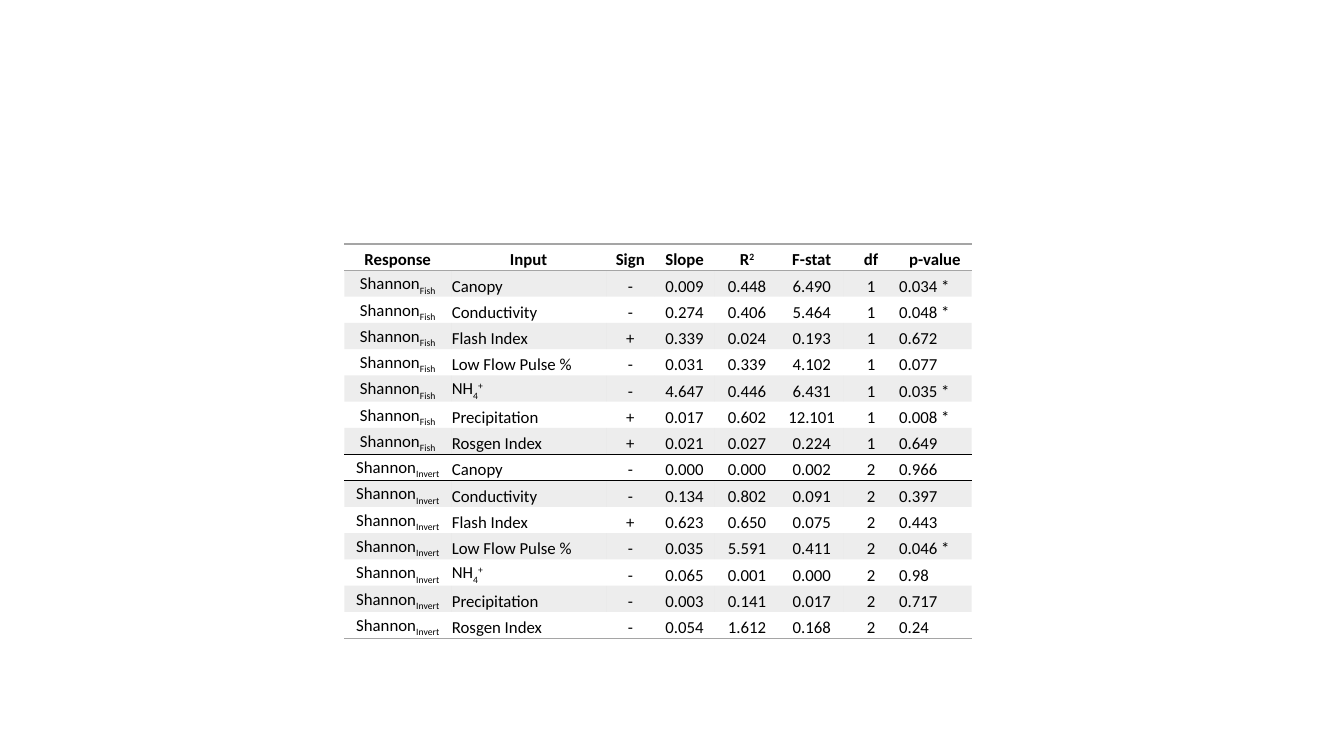
from lxml.etree import SubElement
from pptx import Presentation
from pptx.dml.color import RGBColor
from pptx.enum.text import MSO_ANCHOR as Anchor, PP_ALIGN as Align
from pptx.oxml import parse_xml
from pptx.oxml.ns import nsdecls, qn
from pptx.util import Cm, Pt

BLACK = RGBColor(0x00, 0x00, 0x00)
GREY = RGBColor(0xA5, 0xA5, 0xA5)

NO_STYLE = "{2D5ABB26-0587-4C30-8999-92F81FD0307C}"
BAND_ALPHA = 20000
SUBSCRIPT, SUPERSCRIPT = -25000, 30000
COLUMN_WIDTHS = (2.69, 3.91, 1.22, 1.52, 1.63, 1.63, 1.37, 1.85)
LEFT_COLUMNS = (1, 7)
CELL_FORMAT = {
    "margin_left": Cm(0.02),
    "margin_right": Cm(0.02),
    "margin_top": Cm(0.02),
    "margin_bottom": Cm(0),
    "vertical_anchor": Anchor.BOTTOM,
}
FONT_FORMAT = {"name": "Calibri", "size": Pt(12)}

R_SQUARED = (("R", 0), ("2", SUPERSCRIPT))
AMMONIUM = (("NH", 0), ("4", SUBSCRIPT), ("+", SUPERSCRIPT))
HEADER = ("Response", "Input", "Sign", "Slope", R_SQUARED, "F-stat", "df", "p-value")
INPUTS = (
    "Canopy", "Conductivity", "Flash Index", "Low Flow Pulse %",
    AMMONIUM, "Precipitation", "Rosgen Index",
)
RESULTS = {
    "Fish": (
        ("-", "0.009", "0.448", "6.490", "1", "0.034 *"),
        ("-", "0.274", "0.406", "5.464", "1", "0.048 *"),
        ("+", "0.339", "0.024", "0.193", "1", "0.672"),
        ("-", "0.031", "0.339", "4.102", "1", "0.077"),
        ("-", "4.647", "0.446", "6.431", "1", "0.035 *"),
        ("+", "0.017", "0.602", "12.101", "1", "0.008 *"),
        ("+", "0.021", "0.027", "0.224", "1", "0.649"),
    ),
    "Invert": (
        ("-", "0.000", "0.000", "0.002", "2", "0.966"),
        ("-", "0.134", "0.802", "0.091", "2", "0.397"),
        ("+", "0.623", "0.650", "0.075", "2", "0.443"),
        ("-", "0.035", "5.591", "0.411", "2", "0.046 *"),
        ("-", "0.065", "0.001", "0.000", "2", "0.98"),
        ("-", "0.003", "0.141", "0.017", "2", "0.717"),
        ("-", "0.054", "1.612", "0.168", "2", "0.24"),
    ),
}
ROW_BORDERS = {
    0: {"lnT": GREY, "lnB": GREY},
    7: {"lnB": BLACK},
    8: {"lnT": BLACK, "lnB": BLACK},
    14: {"lnB": GREY},
}


def apply_format(target, values):
    """Set each named attribute on the target."""
    for name, value in values.items():
        setattr(target, name, value)


def table_rows():
    """Return the header and one row per response and input."""
    rows = [HEADER]
    for group, results in RESULTS.items():
        response = (("Shannon", 0), (group, SUBSCRIPT))
        rows += [(response, name, *values) for name, values in zip(INPUTS, results)]
    return rows


def write_cell(cell, content, alignment, bold):
    """Write plain text or (text, baseline) pieces into a cell."""
    apply_format(cell, CELL_FORMAT)
    paragraph = cell.text_frame.paragraphs[0]
    paragraph.alignment = alignment
    pieces = ((content, 0),) if isinstance(content, str) else content
    for text, baseline in pieces:
        run = paragraph.add_run()
        run.text = text
        apply_format(run.font, {**FONT_FORMAT, "bold": bold})
        run.font.color.rgb = BLACK
        if baseline:
            run._r.get_or_add_rPr().set("baseline", str(baseline))


def paint_cell(cell, banded, borders):
    """Give a cell its translucent band and its horizontal rules."""
    properties = cell._tc.get_or_add_tcPr()
    if banded:
        cell.fill.solid()
        cell.fill.fore_color.rgb = GREY
        colour = properties.find(f".//{qn('a:srgbClr')}")
        SubElement(colour, qn("a:alpha")).set("val", str(BAND_ALPHA))
    else:
        cell.fill.background()
    for position, (side, colour) in enumerate(borders.items()):
        properties.insert(position, parse_xml(
            f'<a:{side} {nsdecls("a")} w="{Pt(1)}"><a:solidFill>'
            f'<a:srgbClr val="{colour}"/></a:solidFill></a:{side}>'
        ))


def add_regression_table(slide, left, top, width, height):
    """Place the regression results in the given box."""
    rows = table_rows()
    frame = slide.shapes.add_table(len(rows), len(HEADER), left, top, width, height)
    table = frame.table
    apply_format(table, {"first_row": False, "horz_banding": False})
    table._tbl.tblPr.find(qn("a:tableStyleId")).text = NO_STYLE
    for column, share in zip(table.columns, COLUMN_WIDTHS):
        column.width = int(width * share / sum(COLUMN_WIDTHS))
    for row_index, row in enumerate(rows):
        is_header = row_index == 0
        table.rows[row_index].height = height // len(rows)
        for column_index, content in enumerate(row):
            cell = table.cell(row_index, column_index)
            is_left = column_index in LEFT_COLUMNS and not is_header
            write_cell(cell, content, Align.LEFT if is_left else Align.CENTER, is_header)
            paint_cell(cell, row_index % 2 == 1, ROW_BORDERS.get(row_index, {}))


def main():
    """Build and save the presentation."""
    presentation = Presentation()
    presentation.slide_width, presentation.slide_height = Cm(33.87), Cm(19.05)
    slide = presentation.slides.add_slide(presentation.slide_layouts[6])
    add_regression_table(slide, Cm(8.68), Cm(6.15), Cm(15.81), Cm(9.93))
    presentation.save("out.pptx")


if __name__ == "__main__":
    main()
